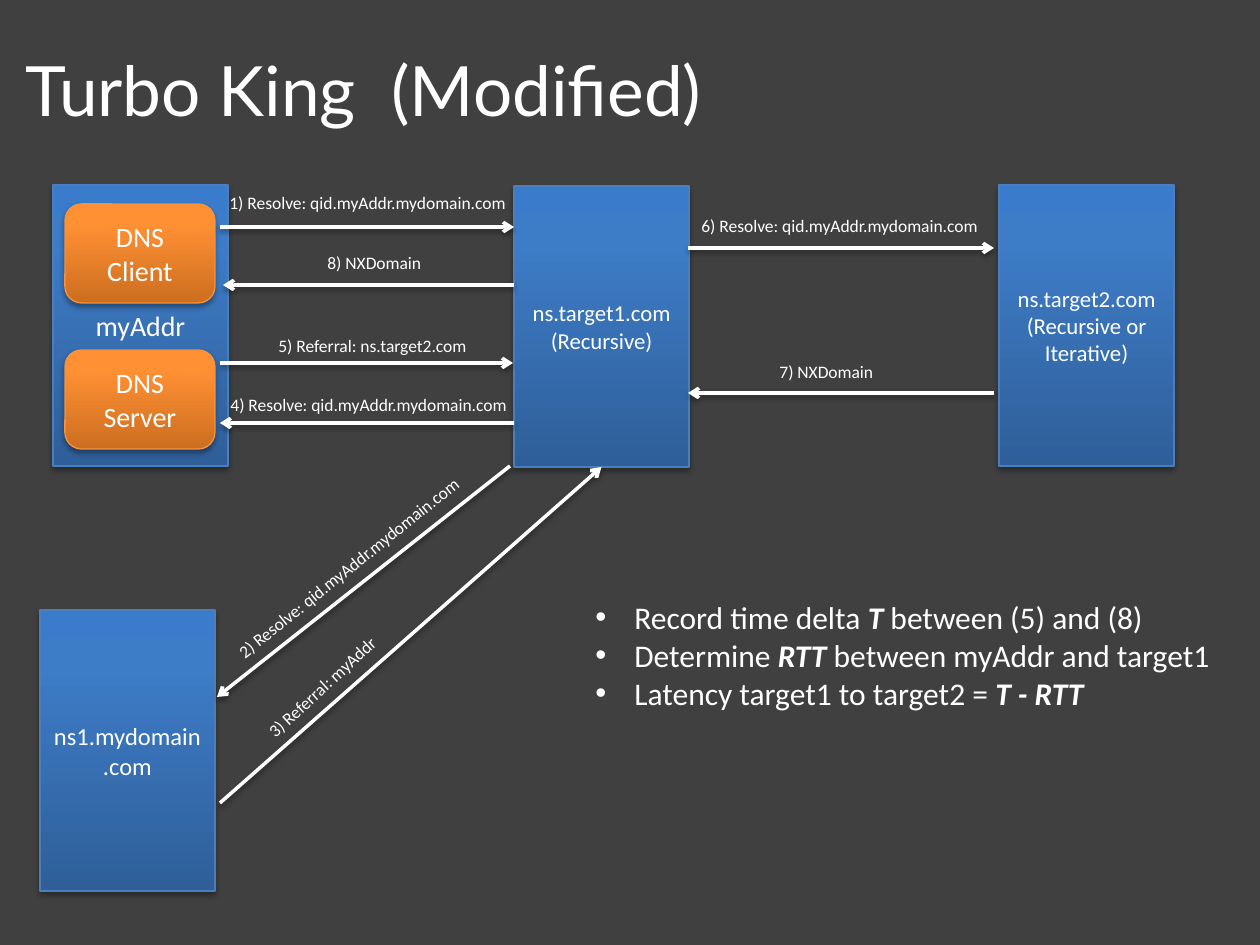
from copy import deepcopy
from dataclasses import dataclass

from lxml import etree
from pptx import Presentation
from pptx.dml.color import RGBColor
from pptx.enum.shapes import MSO_CONNECTOR, MSO_SHAPE
from pptx.enum.text import MSO_ANCHOR, MSO_AUTO_SIZE, PP_ALIGN
from pptx.oxml.ns import qn
from pptx.util import Emu, Pt

RECTANGLE, ROUNDED = MSO_SHAPE.RECTANGLE, MSO_SHAPE.ROUNDED_RECTANGLE
STRAIGHT = MSO_CONNECTOR.STRAIGHT
LEFT, CENTER = PP_ALIGN.LEFT, PP_ALIGN.CENTER
TOP, MIDDLE = MSO_ANCHOR.TOP, MSO_ANCHOR.MIDDLE
NO_AUTOFIT = MSO_AUTO_SIZE.NONE

PX_PER_INCH = 126
BACKGROUND = RGBColor(0x40, 0x40, 0x40)
WHITE = RGBColor(0xFF, 0xFF, 0xFF)
BLUE_LINE = RGBColor(0x4B, 0x7E, 0xBC)
BLUE_STOPS = (RGBColor(0x2F, 0x5F, 0x99), RGBColor(0x3D, 0x7C, 0xC7), RGBColor(0x3A, 0x7C, 0xCB))
ORANGE_LINE = RGBColor(0xF6, 0x92, 0x40)
ORANGE_STOPS = (RGBColor(0xCC, 0x6E, 0x20), RGBColor(0xFF, 0x90, 0x34), RGBColor(0xFF, 0x91, 0x36))
STOP_POSITIONS = (0, 0.8, 1)

NODE_WIDTH, NODE_HEIGHT = 175, 281
ROLE_WIDTH, ROLE_HEIGHT = 150, 99
LABEL_WIDTH, LABEL_HEIGHT = 382, 34
TARGET1 = "ns.target1.com"
BULLET_INDENT = 39


@dataclass(frozen=True)
class Node:
    left: int
    top: int
    lines: tuple
    size: int
    is_role: bool = False


@dataclass(frozen=True)
class Message:
    text: str
    start: tuple
    end: tuple
    label: tuple
    rotation: float = 0
    end_node: str = ""


NODES = (
    Node(53, 185, ("myAddr",), 16),
    Node(65, 204, ("DNS Client",), 16, True),
    Node(65, 350, ("DNS Server",), 16, True),
    Node(514, 186, (TARGET1, "(Recursive)"), 13),
    Node(999, 185, ("ns.target2.com", "(Recursive or Iterative)"), 13),
    Node(40, 610, ("ns1.mydomain.com",), 14),
)

QUERY = "Resolve: qid.myAddr.mydomain.com"
MESSAGES = (
    Message(f"1) {QUERY}", (220, 227), (514, 227), (217, 186)),
    Message(f"2) {QUERY}", (510, 466), (217, 697), (189, 525), 321.2),
    Message("3) Referral: myAddr", (220, 803), (607, 470), (212, 596), 317.6, TARGET1),
    Message(f"4) {QUERY}", (514, 423), (220, 423), (218, 388)),
    Message("5) Referral: ns.target2.com", (220, 363), (513, 363), (266, 329)),
    Message(f"6) {QUERY}", (688, 248), (994, 248), (689, 209)),
    Message("7) NXDomain", (994, 393), (688, 393), (767, 355)),
    Message("8) NXDomain", (514, 285), (223, 285), (315, 246)),
)

FINDINGS = (
    (("Record time delta ", False), ("T", True), (" between (5) and (8)", False)),
    (("Determine ", False), ("RTT ", True), ("between myAddr and target1", False)),
    (("Latency target1 to target2 = ", False), ("T - RTT", True)),
)


def px(length: float) -> Emu:
    return Emu(round(length * 914400 / PX_PER_INCH))


def write_text(shape, paragraphs, *, size, font="Calibri", align=LEFT, anchor=TOP, bullet=False):
    frame = shape.text_frame
    frame.word_wrap = True
    frame.auto_size = NO_AUTOFIT
    frame.vertical_anchor = anchor
    for index, spans in enumerate(paragraphs):
        para = frame.add_paragraph() if index else frame.paragraphs[0]
        para.alignment = align
        if bullet:
            properties = para._p.get_or_add_pPr()
            properties.set("marL", str(px(BULLET_INDENT)))
            properties.set("indent", str(-px(BULLET_INDENT)))
            etree.SubElement(properties, qn("a:buFont"), typeface="Arial")
            etree.SubElement(properties, qn("a:buChar"), char="•")
        for text, strong in spans:
            span = para.add_run()
            span.text = text
            span.font.name = font
            span.font.size = Pt(size)
            span.font.color.rgb = WHITE
            if strong:
                span.font.bold = span.font.italic = True


def add_shadow(shape, opacity: int, distance: float) -> None:
    effects = etree.SubElement(shape._element.spPr, qn("a:effectLst"))
    shadow = etree.SubElement(
        effects, qn("a:outerShdw"), blurRad=str(Pt(3.1)), dist=str(Pt(distance)),
        dir="5400000", rotWithShape="0",
    )
    color = etree.SubElement(shadow, qn("a:srgbClr"), val="000000")
    etree.SubElement(color, qn("a:alpha"), val=str(opacity * 1000))


def fill_gradient(shape, colors: tuple) -> None:
    shape.fill.gradient()
    shape.fill.gradient_angle = 90
    stop_list = shape._element.spPr.find(".//" + qn("a:gsLst"))
    stop_list.append(deepcopy(stop_list[0]))
    for stop, position, color in zip(shape.fill.gradient_stops, STOP_POSITIONS, colors):
        stop.position = position
        stop.color.rgb = color


def draw_node(slide, node: Node):
    if node.is_role:
        kind, width, height = ROUNDED, ROLE_WIDTH, ROLE_HEIGHT
        stops, outline = ORANGE_STOPS, ORANGE_LINE
    else:
        kind, width, height = RECTANGLE, NODE_WIDTH, NODE_HEIGHT
        stops, outline = BLUE_STOPS, BLUE_LINE
    box = slide.shapes.add_shape(kind, px(node.left), px(node.top), px(width), px(height))
    fill_gradient(box, stops)
    box.line.color.rgb = outline
    box.line.width = Pt(0.75)
    add_shadow(box, 35, 1.8)
    lines = [[(line, False)] for line in node.lines]
    write_text(box, lines, size=node.size, align=CENTER, anchor=MIDDLE)
    return box


def add_text_box(slide, left: int, top: int, width: int, height: int):
    return slide.shapes.add_textbox(px(left), px(top), px(width), px(height))


def draw_message(slide, message: Message, boxes: dict) -> None:
    points = [px(value) for value in message.start + message.end]
    arrow = slide.shapes.add_connector(STRAIGHT, *points)
    if message.end_node:
        arrow.end_connect(boxes[message.end_node], 2)
    arrow.line.color.rgb = WHITE
    arrow.line.width = Pt(2)
    etree.SubElement(arrow.line._get_or_add_ln(), qn("a:tailEnd"), type="arrow")
    add_shadow(arrow, 38, 1.6)
    label = add_text_box(slide, *message.label, LABEL_WIDTH, LABEL_HEIGHT)
    label.rotation = message.rotation
    write_text(label, [[(message.text, False)]], size=10)


def main() -> None:
    deck = Presentation()
    deck.slide_width, deck.slide_height = px(1260), px(945)
    page = deck.slides.add_slide(deck.slide_layouts[5])
    page.background.fill.solid()
    page.background.fill.fore_color.rgb = BACKGROUND

    title = page.shapes.title
    title.left, title.top, title.width, title.height = map(px, (4, 38, 719, 102))
    write_text(title, [[("Turbo King  (Modified)", False)]], size=39.6, font="Lato",
               align=CENTER, anchor=MIDDLE)

    boxes = {node.lines[0]: draw_node(page, node) for node in NODES}
    for message in MESSAGES:
        draw_message(page, message, boxes)

    findings = add_text_box(page, 583, 592, 667, 204)
    write_text(findings, FINDINGS, size=18, bullet=True)
    deck.save("out.pptx")


if __name__ == "__main__":
    main()
